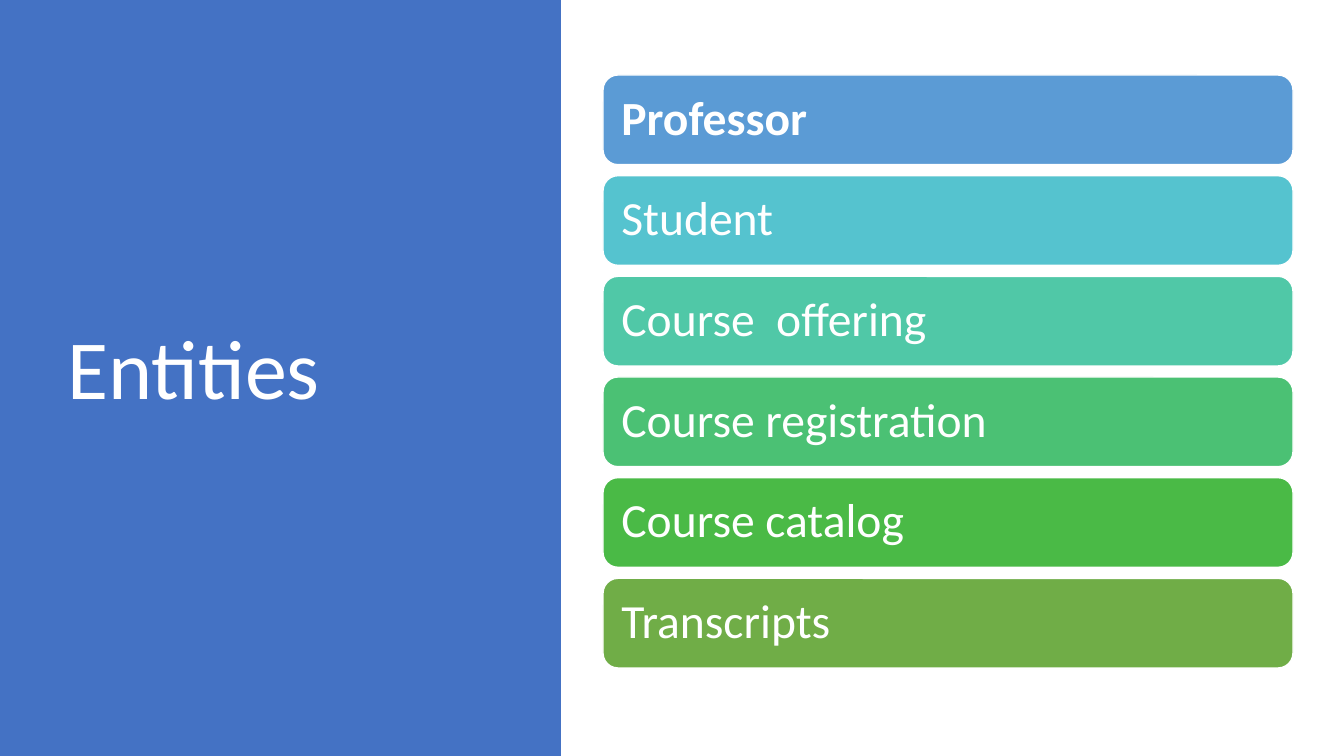
from pptx import Presentation
from pptx.dml.color import RGBColor
from pptx.enum.shapes import MSO_SHAPE
from pptx.enum.text import MSO_ANCHOR, PP_ALIGN
from pptx.util import Emu, Pt

WIDE, HIGH = 1344, 756
FONT, WHITE, BLUE = "Calibri", "FFFFFF", "4472C4"
ROWS = [
    ("Professor", "5B9BD5"),
    ("Student", "55C3CF"),
    ("Course  offering", "50C8A7"),
    ("Course registration", "4BC174"),
    ("Course catalog", "4ABA46"),
    ("Transcripts", "70AD47"),
]


def px(n):
    return Emu(round(n * 914400 / 100.8))


def tint(color, code):
    color.rgb = RGBColor.from_string(code)


def write(shape, text, size, bold=False):
    frame = shape.text_frame
    frame.text = text
    frame.word_wrap = True
    frame.vertical_anchor = MSO_ANCHOR.MIDDLE
    para = frame.paragraphs[0]
    para.alignment = PP_ALIGN.LEFT
    para.line_spacing = 0.9
    font = para.runs[0].font
    font.name, font.size, font.bold = FONT, Pt(size), bold
    tint(font.color, WHITE)


def block(slide, kind, x, y, w, h, code):
    shape = slide.shapes.add_shape(kind, px(x), px(y), px(w), px(h))
    shape.shadow.inherit = False
    shape.fill.solid()
    tint(shape.fill.fore_color, code)
    return shape


# Coloured side panel with the slide title
def panel(slide, x, y, w, h, text):
    side = block(slide, MSO_SHAPE.RECTANGLE, x, y, w, h, BLUE)
    side.line.fill.background()
    title = slide.shapes.title
    title.left, title.top = px(x + 57), px(y + 69)
    title.width, title.height = px(w - 142), px(h - 149)
    write(title, text, 60)
    title.element.addprevious(side.element)  # panel goes behind the title


# Stack of rounded bars, evenly spread over the box
def stack(slide, x, y, w, h, rows, gap=11):
    high = (h - gap * (len(rows) - 1)) / len(rows)
    for i, (text, code) in enumerate(rows):
        bar = block(slide, MSO_SHAPE.ROUNDED_RECTANGLE,
                    x, y + i * (high + gap), w, high, code)
        tint(bar.line.color, WHITE)
        bar.line.width = Pt(1)
        write(bar, text, 34, bold=i == 0)
        frame = bar.text_frame
        frame.margin_left = frame.margin_right = px(14)
        frame.margin_top = frame.margin_bottom = px(14)


def main():
    deck = Presentation()
    deck.slide_width, deck.slide_height = px(WIDE), px(HIGH)
    slide = deck.slides.add_slide(deck.slide_layouts[5])
    panel(slide, 0, 0, 561, HIGH, "Entities")
    stack(slide, 603, 75, 690, 593, ROWS)
    deck.save("out.pptx")


if __name__ == "__main__":
    main()
